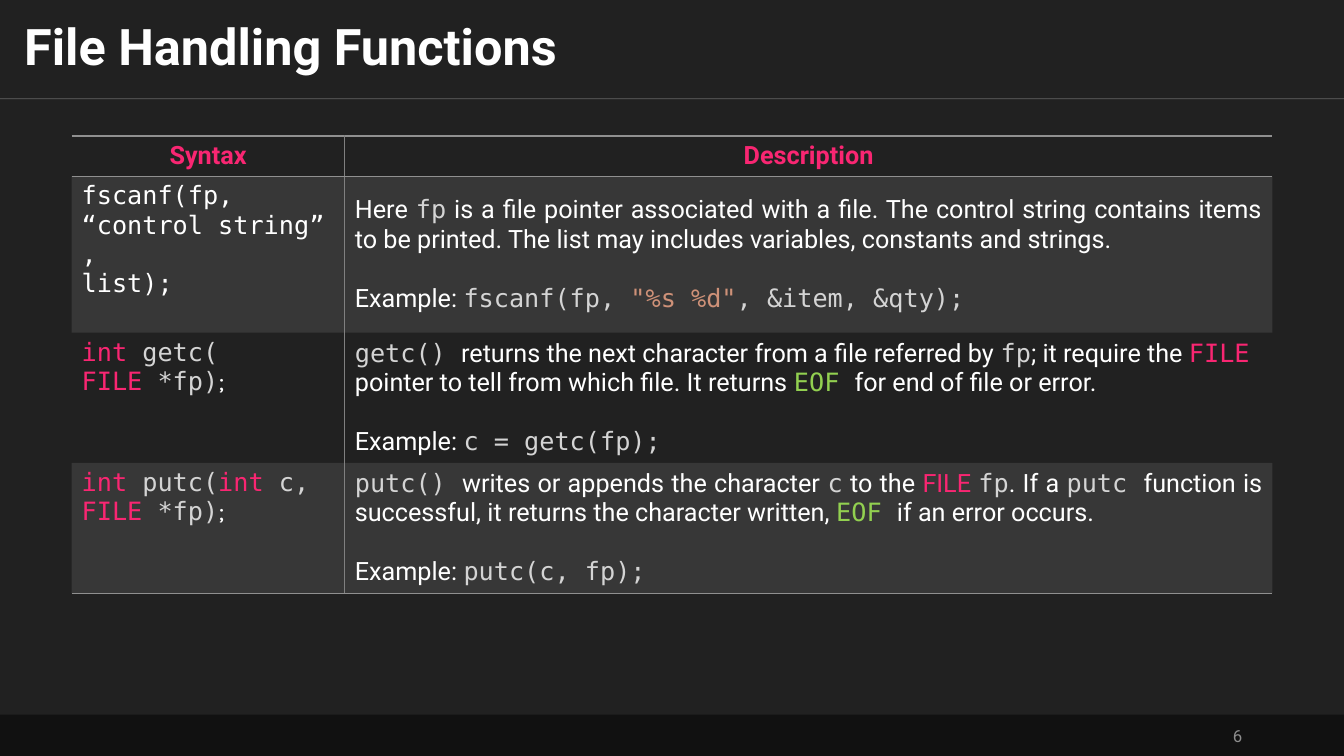
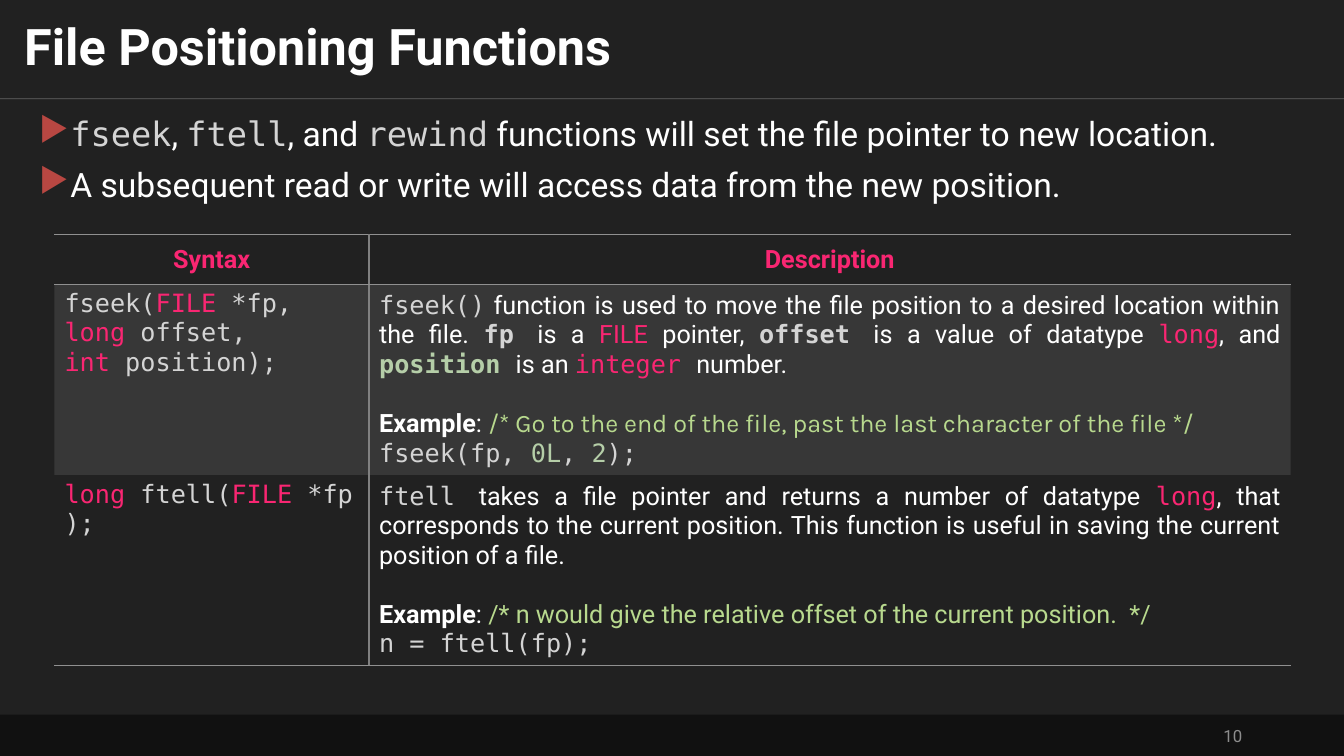
from collections import namedtuple
from dataclasses import dataclass

from lxml import etree
from pptx import Presentation
from pptx.dml.color import RGBColor
from pptx.enum.shapes import MSO_CONNECTOR, MSO_SHAPE
from pptx.enum.text import MSO_ANCHOR, PP_ALIGN
from pptx.oxml.ns import qn
from pptx.util import Inches, Pt

LEFT, MID, RIGHT, FULL = PP_ALIGN.LEFT, PP_ALIGN.CENTER, PP_ALIGN.RIGHT, PP_ALIGN.JUSTIFY
TOP, CORE = MSO_ANCHOR.TOP, MSO_ANCHOR.MIDDLE
RECT, LINE = MSO_SHAPE.RECTANGLE, MSO_CONNECTOR.STRAIGHT
BARE = "{2D5ABB26-0587-4C30-8999-92F81FD0307C}"
NBSP = chr(160)

Box = namedtuple("Box", "x y w h")
Face = namedtuple("Face", "font color bold", defaults=(False,))
Row = namedtuple("Row", "code text demo align", defaults=(FULL,))


@dataclass(frozen=True)
class Theme:
    """Colours, fonts and type sizes of the deck."""
    sans: str = "Roboto"
    mono: str = "DejaVu Sans Mono"
    soft: str = "Karla"
    back: str = "212121"
    foot: str = "111111"
    white: str = "FFFFFF"
    gray: str = "8D8D8D"
    rule: str = "909090"
    split: str = "808080"
    mark: str = "B84742"
    pink: str = "F92672"
    pale: str = "D4D4D4"
    lime: str = "92D050"
    mint: str = "B5CEA8"
    note: str = "B8D98E"
    clay: str = "CE9178"
    title: int = 36
    body: int = 24
    cell: int = 18
    page: int = 12
    gap: int = 21


T = Theme()
BODY = Face(T.sans, T.white)
BOLD = Face(T.sans, T.white, True)
HEAD = Face(T.sans, T.pink, True)
TYPE = Face(T.sans, T.pink)
CODE = Face(T.mono, T.pale)
CODEB = Face(T.mono, T.pale, True)
LIT = Face(T.mono, T.white)
KEY = Face(T.mono, T.pink)
EOF = Face(T.mono, T.lime)
NUM = Face(T.mono, T.mint)
NUMB = Face(T.mono, T.mint, True)
STR = Face(T.mono, T.clay)
END = Face(T.soft, T.white)
NOTE = Face(T.soft, T.note)
REM = Face(T.sans, T.note)
PAGE = Face(T.sans, T.gray)


def put(frame, runs, size=T.cell, align=LEFT, before=0, lead=None, bullet=None):
    """Add one paragraph of (face, text) runs to a text frame."""
    para = frame.paragraphs[0]
    if para.runs:
        para = frame.add_paragraph()
    para.alignment, para.space_before = align, Pt(before)
    if lead:
        para.line_spacing = lead
    for face, words in runs:
        run = para.add_run()
        run.text = words
        font = run.font
        font.name, font.size, font.bold = face.font, Pt(size), face.bold
        font.color.rgb = RGBColor.from_string(face.color)
    if bullet:
        props = para._p.get_or_add_pPr()
        props.set("marL", str(Inches(0.29)))
        props.set("indent", str(-Inches(0.29)))
        tint = etree.SubElement(props, qn("a:buClr"))
        etree.SubElement(tint, qn("a:srgbClr"), val=T.mark)
        etree.SubElement(props, qn("a:buChar"), char=bullet)


def fade(node, share):
    """Set the opacity in percent of the colour inside an XML node."""
    color = next(node.iter(qn("a:srgbClr")))
    etree.SubElement(color, qn("a:alpha"), val=str(share * 1000))


def area(slide, box, pad=(0.1, 0.05), anchor=TOP):
    """Add a wrapped text box and return its frame."""
    frame = slide.shapes.add_textbox(*map(Inches, box)).text_frame
    frame.word_wrap, frame.vertical_anchor = True, anchor
    frame.margin_left = frame.margin_right = Inches(pad[0])
    frame.margin_top = frame.margin_bottom = Inches(pad[1])
    return frame


def head(slide, box, title):
    """Draw the title and the thin rule below it."""
    put(area(slide, box, (0.24, 0.12), CORE), [(BOLD, title)], size=T.title, lead=0.9)
    base = box.y + box.h
    line = slide.shapes.add_connector(LINE, *map(Inches, (box.x, base, box.x + box.w, base)))
    line.line.width = Pt(0.5)
    line.line.color.rgb = RGBColor.from_string(T.white)
    props = line._element.spPr
    fade(props, 30)
    etree.SubElement(props, qn("a:effectLst"))


def foot(slide, box, page):
    """Draw the dark footer band with the page number."""
    band = slide.shapes.add_shape(RECT, *map(Inches, box))
    band.shadow.inherit = False
    band.fill.solid()
    band.fill.fore_color.rgb = RGBColor.from_string(T.foot)
    band.line.fill.background()
    spot = Box(box.x + box.w - 3.91, box.y + 0.01, 3, 0.4)
    put(area(slide, spot, anchor=CORE), [(PAGE, page)], size=T.page, align=RIGHT)


def edge(cell, **sides):
    """Draw cell borders in the order L, R, T, B, given as side=colour."""
    props = cell._tc.get_or_add_tcPr()
    for at, (side, color) in enumerate(sides.items()):
        line = etree.Element(qn("a:ln" + side), w=str(Pt(1)))
        fill = etree.SubElement(line, qn("a:solidFill"))
        etree.SubElement(fill, qn("a:srgbClr"), val=color)
        props.insert(at, line)


def grid(slide, box, split, highs, rows):
    """Draw a two-column table of syntax and description."""
    size = len(rows) + 1
    table = slide.shapes.add_table(size, 2, *map(Inches, box)).table
    table.horz_banding = False
    table._tbl.tblPr.find(qn("a:tableStyleId")).text = BARE
    for col, wide in zip(table.columns, (split, box.w - split)):
        col.width = Inches(wide)
    for row, high in zip(table.rows, highs):
        row.height = Inches(high)
    for i in range(size):
        for j, side in enumerate("RL"):
            cell = table.cell(i, j)
            cell.vertical_anchor = CORE if i == 0 or j else TOP
            lines = {side: T.split}
            if i == 0:
                lines["T"] = T.rule
            if i in (0, size - 1):
                lines["B"] = T.rule
            if i % 2:
                cell.fill.solid()
                cell.fill.fore_color.rgb = RGBColor.from_string(T.rule)
                fade(cell._tc.tcPr, 20)
            else:
                cell.fill.background()
            edge(cell, **lines)
    for j, name in enumerate(("Syntax", "Description")):
        put(table.cell(0, j).text_frame, [(HEAD, name)], align=MID)
    for i, row in enumerate(rows, 1):
        for runs in row.code:
            fixed = [(face, words.replace(" ", NBSP)) for face, words in runs]
            put(table.cell(i, 0).text_frame, fixed)
        frame = table.cell(i, 1).text_frame
        put(frame, row.text, align=row.align)
        for k, runs in enumerate(row.demo):
            put(frame, runs, before=0 if k else T.gap)


def page(deck, title, number):
    """Add a slide with its title and footer."""
    slide = deck.slides.add_slide(deck.slide_layouts[6])
    head(slide, Box(0, 0, 13.33, 0.98), title)
    foot(slide, Box(0, 7.09, 13.33, 0.41), number)
    return slide


def handle(deck):
    """Build the slide on file handling."""
    slide = page(deck, "File Handling Functions", "6")
    ends = [(KEY, "FILE"), (CODE, " *fp)"), (END, ";")]
    rows = [
        Row([[(LIT, "fscanf(fp, ")], [(LIT, "“control string”,")], [(LIT, "list);")]],
            [(BODY, "Here "), (CODE, "fp"),
             (BODY, " is a file pointer associated with a file. The control string contains "
                    "items to be printed. The list may includes variables, constants and strings.")],
            [[(BODY, "Example: "), (CODE, "fscanf(fp, "), (STR, '"%s %d"'),
              (CODE, ", &item, &qty);")]]),
        Row([[(KEY, "int "), (CODE, "getc(")], ends],
            [(CODE, "getc() "), (BODY, "returns the next character from a file referred by "),
             (CODE, "fp"), (BODY, "; it require the "), (KEY, "FILE "),
             (BODY, "pointer to tell from which file. It returns "), (EOF, "EOF "),
             (BODY, "for end of file or error.")],
            [[(BODY, "Example: "), (CODE, "c = getc(fp);")]], LEFT),
        Row([[(KEY, "int "), (CODE, "putc("), (KEY, "int"), (CODE, " c, ")], ends],
            [(CODE, "putc() "), (BODY, "writes or appends the character "), (CODE, "c"),
             (BODY, " to the "), (TYPE, "FILE "), (CODE, "fp"), (BODY, ". If a "),
             (CODE, "putc "),
             (BODY, "function is successful, it returns the character written, "),
             (EOF, "EOF "), (BODY, "if an error occurs.")],
            [[(BODY, "Example: "), (CODE, "putc(c, fp);")]]),
    ]
    grid(slide, Box(0.71, 1.35, 11.91, 4.49), 2.71, (0.4, 1.55, 1.27, 1.27), rows)


def seek(deck):
    """Build the slide on file positioning."""
    slide = page(deck, "File Positioning Functions", "10")
    frame = area(slide, Box(0.29, 1.12, 12.76, 0.98))
    points = [
        [(CODE, "fseek"), (BODY, ", "), (CODE, "ftell"), (BODY, ", and "), (CODE, "rewind"),
         (BODY, " functions will set the file pointer to new location. ")],
        [(BODY, "A subsequent read or write will access data from the new position.")],
    ]
    for runs in points:
        put(frame, runs, size=T.body, align=FULL, before=10, lead=0.9, bullet="▶")
    rows = [
        Row([[(CODE, "fseek("), (KEY, "FILE"), (CODE, " *fp, ")],
             [(KEY, "long"), (CODE, " offset, ")],
             [(KEY, "int"), (CODE, " position);")]],
            [(CODE, "fseek()"),
             (BODY, " function is used to move the file position to a desired location "
                    "within the file. "),
             (CODEB, "fp "), (BODY, "is a "), (TYPE, "FILE"), (BODY, " pointer, "),
             (CODEB, "offset "), (BODY, "is a value of datatype "), (KEY, "long"),
             (BODY, ", and "), (NUMB, "position "), (BODY, "is an "), (KEY, "integer "),
             (BODY, "number.")],
            [[(BOLD, "Example"), (BODY, ": "),
              (NOTE, "/* Go to the end of the file, past the last character of the file */")],
             [(CODE, "fseek(fp, "), (NUM, "0L"), (CODE, ", "), (NUM, "2"), (CODE, "); ")]]),
        Row([[(KEY, "long "), (CODE, "ftell("), (KEY, "FILE"), (CODE, " *fp);")]],
            [(CODE, "ftell "),
             (BODY, "takes a file pointer and returns a number of datatype "), (KEY, "long"),
             (BODY, ", that corresponds to the current position. This function is useful "
                    "in saving the current position of a file. ")],
            [[(BOLD, "Example"), (BODY, ":"),
              (REM, " /* n would give the relative offset of the current position.  */")],
             [(CODE, "n = ftell(fp);")]]),
    ]
    grid(slide, Box(0.54, 2.33, 12.26, 4.21), 3.12, (0.49, 1.86, 1.86), rows)


def main():
    """Build and save the deck."""
    deck = Presentation()
    deck.slide_width, deck.slide_height = Inches(13.33), Inches(7.5)
    fill = deck.slide_master.background.fill
    fill.solid()
    fill.fore_color.rgb = RGBColor.from_string(T.back)
    handle(deck)
    seek(deck)
    deck.save("out.pptx")


if __name__ == "__main__":
    main()
